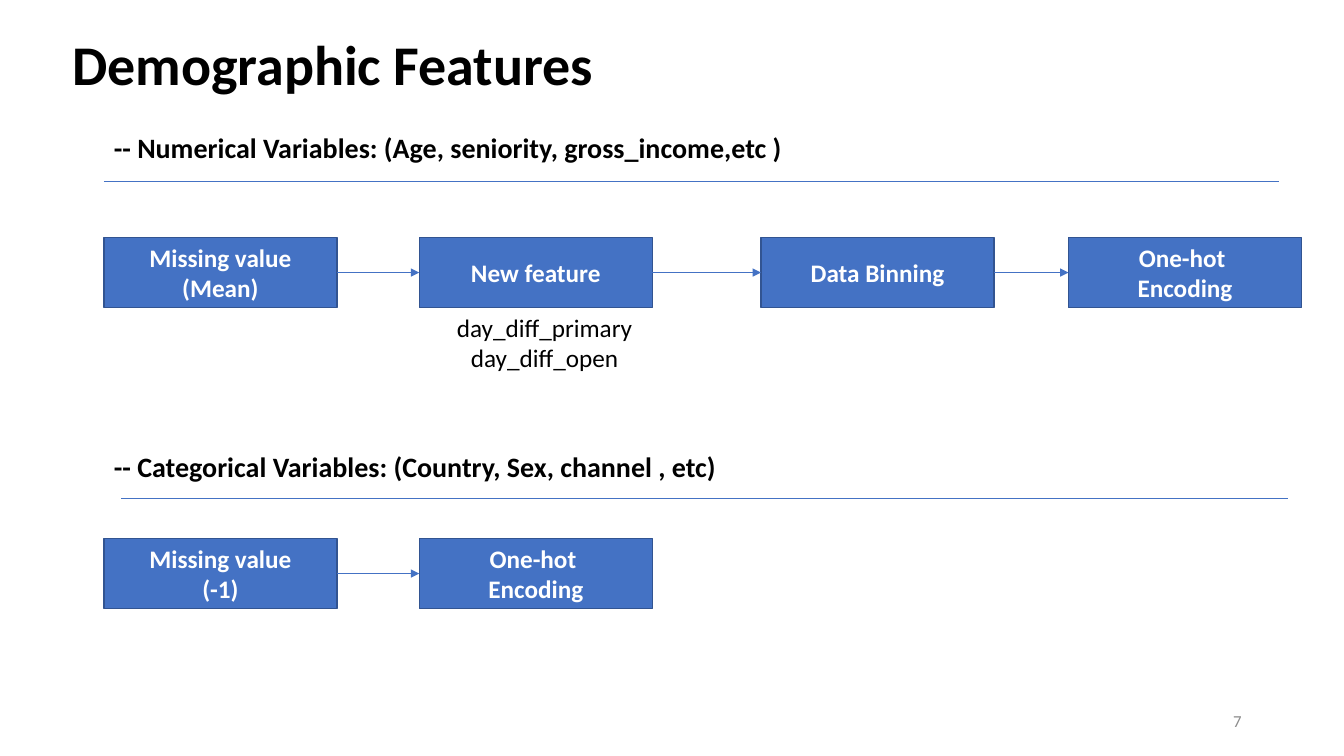
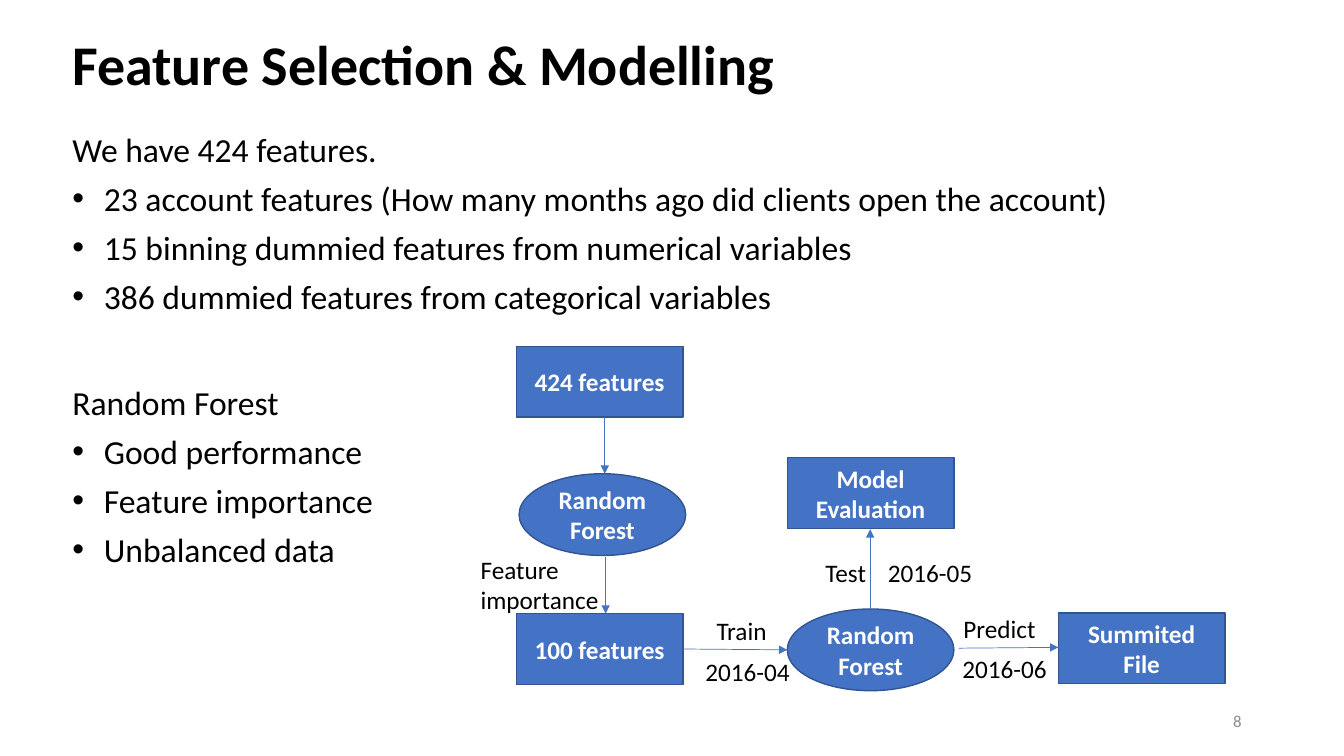
from lxml import etree
from pptx import Presentation
from pptx.dml.color import RGBColor
from pptx.enum.shapes import MSO_CONNECTOR as Connector, MSO_SHAPE as Shape
from pptx.enum.text import MSO_ANCHOR as Anchor, PP_ALIGN as Align
from pptx.oxml.ns import qn
from pptx.util import Pt

COLORS = {"ink": "000000", "accent": "4472C4", "edge": "325491",
          "page": "8C8C8C", "light": "FFFFFF"}
FONT = "Calibri"
LEFT_SITE, RIGHT_SITE = 1, 3


def color(name):
    return RGBColor.from_string(COLORS[name])


class Deck:
    def __init__(self):
        self.prs = Presentation()
        self.prs.slide_width, self.prs.slide_height = Pt(960), Pt(540)
        self.slide = None

    def new_slide(self, title, number):
        self.slide = self.prs.slides.add_slide(self.prs.slide_layouts[6])
        self.text(44.6, 14.4, 584, 67.7, title, size=40, bold=True,
                  anchor=Anchor.MIDDLE, spacing=0.9)
        self.text(678, 500.4, 216, 28.8, str(number), size=12, ink="page",
                  anchor=Anchor.MIDDLE, align=Align.RIGHT)

    def set_text(self, frame, content, size, ink="ink", bold=False,
                 align=Align.LEFT, anchor=Anchor.TOP, spacing=None):
        """Fill a text frame, one paragraph for each line of content."""
        frame.word_wrap = True
        frame.vertical_anchor = anchor
        for index, line in enumerate(content.split("\n")):
            paragraph = frame.paragraphs[0] if index == 0 else frame.add_paragraph()
            paragraph.alignment = align
            if spacing is not None:
                paragraph.line_spacing = spacing
            run = paragraph.add_run()
            run.text = line
            run.font.name, run.font.size, run.font.bold = FONT, Pt(size), bold
            run.font.color.rgb = color(ink)

    def text(self, x, y, width, height, content, size=18, **style):
        box = self.slide.shapes.add_textbox(Pt(x), Pt(y), Pt(width), Pt(height))
        self.set_text(box.text_frame, content, size, **style)
        return box.text_frame

    def bullet_list(self, x, y, width, heading, items):
        frame = self.text(x, y, width, 146, "\n".join([heading, *items]),
                          size=24, spacing=Pt(35))
        for paragraph in frame.paragraphs[1:]:
            props = paragraph._p.get_or_add_pPr()
            props.set("marL", str(Pt(22.5)))
            props.set("indent", str(-Pt(22.5)))
            etree.SubElement(props, qn("a:buFont"), typeface="Arial")
            etree.SubElement(props, qn("a:buChar"), char="•")

    def node(self, x, y, width, height, label, kind=Shape.RECTANGLE):
        node = self.slide.shapes.add_shape(kind, Pt(x), Pt(y), Pt(width), Pt(height))
        node.shadow.inherit = False
        node.fill.solid()
        node.fill.fore_color.rgb = color("accent")
        node.line.color.rgb = color("edge")
        node.line.width = Pt(1)
        self.set_text(node.text_frame, label, 18, ink="light", bold=True,
                      align=Align.CENTER, anchor=Anchor.MIDDLE)
        return node

    def line(self, x1, y1, x2, y2):
        line = self.slide.shapes.add_connector(
            Connector.STRAIGHT, Pt(x1), Pt(y1), Pt(x2), Pt(y2))
        line.line.color.rgb = color("accent")
        line.line.width = Pt(0.5)
        etree.SubElement(line._element.spPr, qn("a:effectLst"))
        return line

    def arrow(self, x1, y1, x2, y2):
        arrow = self.line(x1, y1, x2, y2)
        outline = arrow._element.spPr.find(qn("a:ln"))
        etree.SubElement(outline, qn("a:tailEnd"), type="triangle")
        return arrow

    def flow(self, y, steps):
        """Draw a row of (left, label) boxes, each joined to the next."""
        boxes = [self.node(x, y, 166.5, 50.4, label) for x, label in steps]
        for source, target in zip(boxes, boxes[1:]):
            arrow = self.arrow(0, 0, 0, 0)
            arrow.begin_connect(source, RIGHT_SITE)
            arrow.end_connect(target, LEFT_SITE)


def demographic_slide(deck):
    deck.new_slide("Demographic Features", 7)
    headings = [(90, "-- Numerical Variables: (Age, seniority, gross_income,etc )"),
                (317.5, "-- Categorical Variables: (Country, Sex, channel , etc)")]
    for y, heading in headings:
        deck.text(74.2, y, 515, 32, heading, size=20, bold=True)
    deck.line(74.2, 129.9, 913.7, 129.9)
    deck.line(86.5, 355.7, 920.2, 355.7)
    deck.flow(169.5, [(74.2, "Missing value\n(Mean)"), (299.5, "New feature"),
                      (543.6, "Data Binning"), (763.2, "One-hot \nEncoding")])
    deck.flow(384.5, [(74.2, "Missing value\n(-1)"), (299.5, "One-hot \nEncoding")])
    deck.text(314, 219.6, 150, 51, "day_diff_primary\nday_diff_open", align=Align.CENTER)


def modelling_slide(deck):
    deck.new_slide("Feature Selection & Modelling", 8)
    deck.bullet_list(44.6, 82, 780, "We have 424 features.", [
        "23 account features (How many months ago did clients open the account)",
        "15 binning dummied features from numerical variables",
        "386 dummied features from categorical variables"])
    deck.bullet_list(44.6, 263, 237, "Random Forest", [
        "Good performance", "Feature importance", "Unbalanced data"])

    width, box_height, oval_height = 119, 50.4, 58.4
    selection, model, result = (368.8 + 193.6 * column for column in range(3))
    for x, y, label in [(selection, 247.6, "424 features"),
                        (selection, 438.4, "100 features"),
                        (model, 327, "Model Evaluation"),
                        (result, 438, "Summited File")]:
        deck.node(x, y, width, box_height, label)
    for x, y in [(selection + 2, 338.4), (model, 435)]:
        deck.node(x, y, width, oval_height, "Random Forest", Shape.OVAL)

    for ends in [(432, 298, 432, 338.4), (432.6, 398, 432.6, 438.4),
                 (487.8, 463.6, model, 464.2), (621.6, 435, 621.6, 378),
                 (684.8, 463, result, 462.4)]:
        deck.arrow(*ends)
    for x, y, label_width, label in [
            (336.2, 392.4, 114.5, "Feature importance"),
            (504.7, 436.3, 98, "Train"), (496.8, 465.1, 90.7, "2016-04"),
            (582.5, 394.6, 48, "Test"), (627.1, 394.6, 92.9, "2016-05"),
            (681.1, 434.2, 71.3, "Predict"), (680.4, 463, 85.7, "2016-06")]:
        deck.text(x, y, label_width, 28.8, label)


def main():
    deck = Deck()
    demographic_slide(deck)
    modelling_slide(deck)
    deck.prs.save("out.pptx")


if __name__ == "__main__":
    main()
